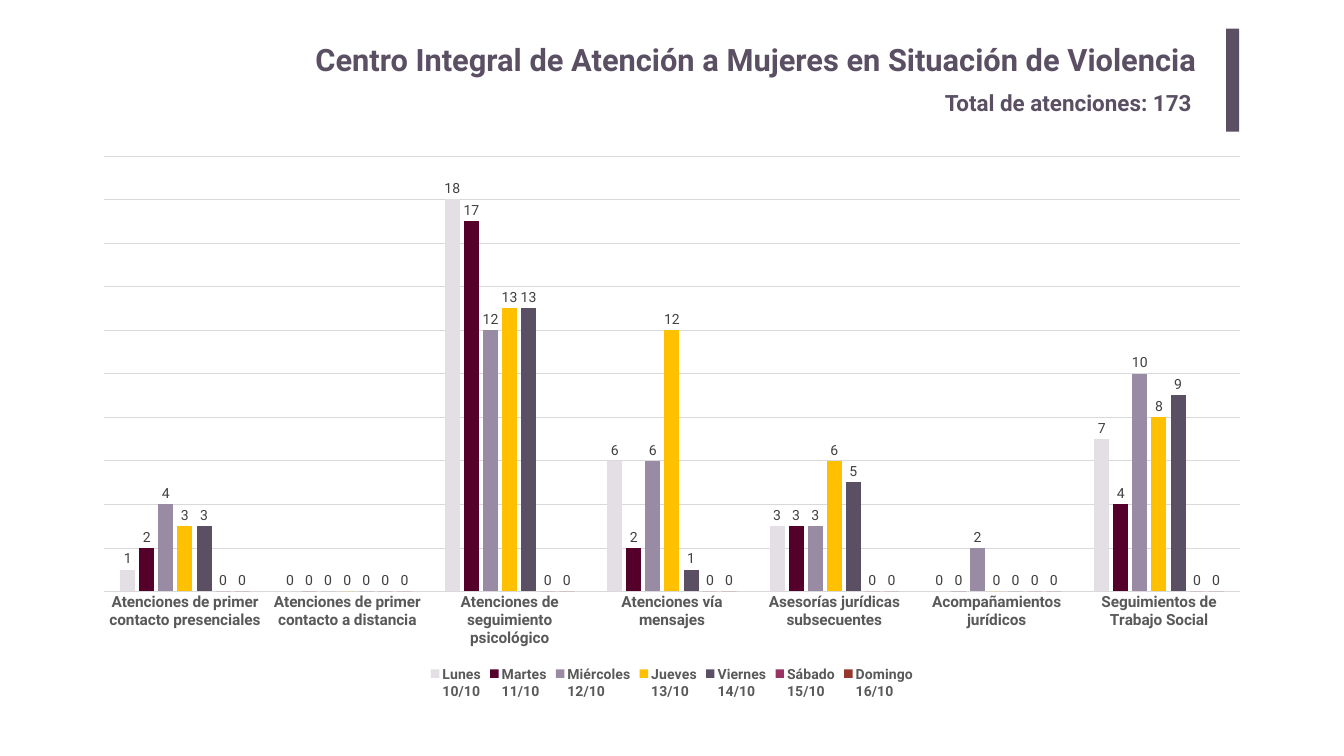
from dataclasses import dataclass

from pptx import Presentation
from pptx.chart.data import CategoryChartData
from pptx.dml.color import RGBColor
from pptx.enum.chart import XL_CHART_TYPE, XL_LABEL_POSITION, XL_LEGEND_POSITION, XL_TICK_LABEL_POSITION, XL_TICK_MARK
from pptx.enum.shapes import MSO_SHAPE
from pptx.enum.text import MSO_ANCHOR, PP_ALIGN
from pptx.oxml import parse_xml
from pptx.util import Inches, Pt


@dataclass(frozen=True)
class Theme:
    font: str = "Roboto"
    accent: str = "5B4F63"
    axis_text: str = "595959"
    label_text: str = "404040"
    grid: str = "D9D9D9"
    title_size: int = 44
    subtitle_size: int = 32
    category_size: int = 22
    small_size: int = 20


theme = Theme()


def style_font(font, size, color, bold=False):
    font.name = theme.font
    font.size = Pt(size)
    font.bold = bold
    font.color.rgb = RGBColor.from_string(color)


def add_heading(slide, text, bounds, size, align, insets):
    box = slide.shapes.add_textbox(*(Inches(length) for length in bounds))
    frame = box.text_frame
    frame.word_wrap = True
    frame.vertical_anchor = MSO_ANCHOR.MIDDLE
    frame.margin_left = frame.margin_right = Inches(insets[0])
    frame.margin_top = frame.margin_bottom = Inches(insets[1])
    frame.text = text
    para = frame.paragraphs[0]
    para.alignment = align
    style_font(para.runs[0].font, size, theme.accent, bold=True)


deck = Presentation()
deck.slide_width = Inches(26.67)
deck.slide_height = Inches(15)
page = deck.slides.add_slide(deck.slide_layouts[6])

# Headings and accent bar
add_heading(page, "Centro Integral de Atención a Mujeres en Situación de Violencia",
            (3.66, 0.67, 20.3, 1.02), theme.title_size, PP_ALIGN.RIGHT, (0.2, 0.1))
accent_bar = page.shapes.add_shape(MSO_SHAPE.RECTANGLE, Inches(24.33), Inches(0.57), Inches(0.26), Inches(2.04))
accent_bar.shadow.inherit = False
accent_bar.fill.solid()
accent_bar.fill.fore_color.rgb = RGBColor.from_string(theme.accent)
accent_bar.line.fill.background()
add_heading(page, "Total de atenciones: 173",
            (18.65, 1.71, 5.31, 0.65), theme.subtitle_size, PP_ALIGN.LEFT, (0.1, 0.05))

# Services per day
days = [
    ("Lunes\n10/10", "E3DFE5", (1, 0, 18, 6, 3, 0, 7)),
    ("Martes\n11/10", "54002A", (2, 0, 17, 2, 3, 0, 4)),
    ("Miércoles\n12/10", "998BA3", (4, 0, 12, 6, 3, 2, 10)),
    ("Jueves\n13/10", "FFC000", (3, 0, 13, 12, 6, 0, 8)),
    ("Viernes\n14/10", "5B4F63", (3, 0, 13, 1, 5, 0, 9)),
    ("Sábado\n15/10", "993366", (0,) * 7),
    ("Domingo\n16/10", "95372B", (0,) * 7),
]
data = CategoryChartData()
data.categories = [
    "Atenciones de primer contacto presenciales",
    "Atenciones de primer contacto a distancia",
    "Atenciones de seguimiento psicológico",
    "Atenciones vía mensajes",
    "Asesorías jurídicas subsecuentes",
    "Acompañamientos jurídicos",
    "Seguimientos de Trabajo Social",
]
for name, _, values in days:
    data.add_series(name, values)
chart = page.shapes.add_chart(XL_CHART_TYPE.COLUMN_CLUSTERED, Inches(1.59), Inches(2.87),
                              Inches(23.49), Inches(11.08), data).chart
chart.has_title = False
chart.font.name = theme.font
chart.has_legend = True
chart.legend.position = XL_LEGEND_POSITION.BOTTOM
chart.legend.include_in_layout = False
style_font(chart.legend.font, theme.small_size, theme.axis_text, bold=True)

category_axis = chart.category_axis
category_axis.major_tick_mark = XL_TICK_MARK.NONE
category_axis.tick_label_position = XL_TICK_LABEL_POSITION.NEXT_TO_AXIS
style_font(category_axis.tick_labels.font, theme.category_size, theme.axis_text, bold=True)
value_axis = chart.value_axis
value_axis.visible = False
value_axis.minimum_scale = 0
value_axis.maximum_scale = 20
value_axis.major_unit = 2
value_axis.has_major_gridlines = True
for line in (category_axis.format.line, value_axis.major_gridlines.format.line):
    line.width = Pt(0.75)
    line.color.rgb = RGBColor.from_string(theme.grid)

plot = chart.plots[0]
plot.gap_width = 219
plot.overlap = -27
plot.vary_by_categories = False
for series, (_, color, _) in zip(plot.series, days):
    series.invert_if_negative = False
    series.format.fill.solid()
    series.format.fill.fore_color.rgb = RGBColor.from_string(color)
    labels = series.data_labels
    labels.show_value = True
    labels.position = XL_LABEL_POSITION.OUTSIDE_END
    style_font(labels.font, theme.small_size, theme.label_text)

# Fix the inner plot area, as fractions of the chart
plot_area = chart._chartSpace.chart.plotArea
for layout in plot_area.xpath("c:layout"):
    plot_area.remove(layout)
fractions = {"x": 0.02, "y": 0.02, "w": 0.96, "h": 0.78}
plot_area.insert(0, parse_xml(
    '<c:layout xmlns:c="http://schemas.openxmlformats.org/drawingml/2006/chart"><c:manualLayout>'
    '<c:layoutTarget val="inner"/><c:xMode val="edge"/><c:yMode val="edge"/>'
    + "".join(f'<c:{side} val="{value}"/>' for side, value in fractions.items())
    + "</c:manualLayout></c:layout>"))

deck.save("out.pptx")
